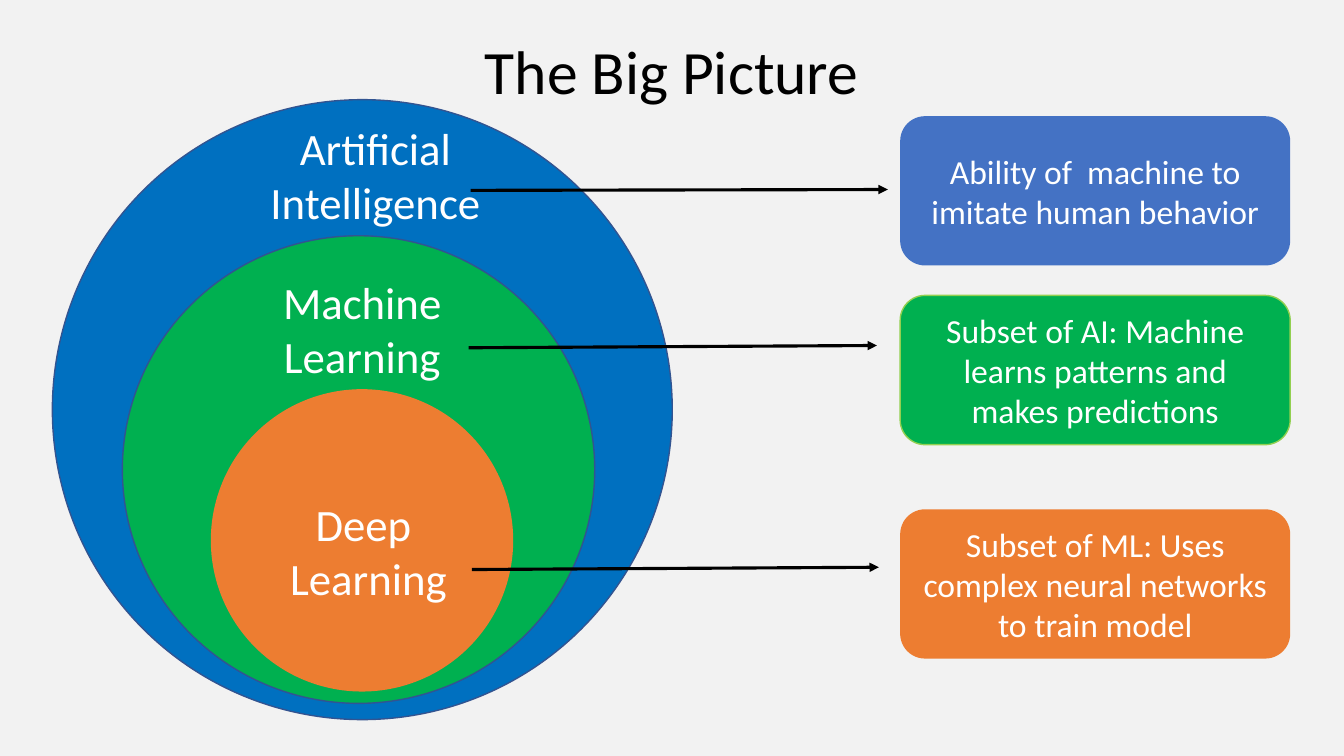
from dataclasses import dataclass

from lxml.etree import SubElement
from pptx import Presentation
from pptx.dml.color import RGBColor
from pptx.enum.shapes import MSO_CONNECTOR, MSO_SHAPE
from pptx.enum.text import MSO_ANCHOR, MSO_AUTO_SIZE, PP_ALIGN
from pptx.oxml.ns import qn
from pptx.util import Pt


@dataclass(frozen=True)
class Theme:
    font: str = "Calibri"
    title_size: int = 44
    label_size: int = 32
    note_size: int = 24
    background: str = "F2F2F2"
    black: str = "000000"
    white: str = "FFFFFF"
    blue: str = "0070C0"
    soft_blue: str = "4472C4"
    outline: str = "325491"
    green: str = "00B050"
    lime: str = "92D050"
    orange: str = "ED7D31"


theme = Theme()


def write(frame, lines, size, color):
    frame.word_wrap = True
    for i, line in enumerate(lines):
        paragraph = frame.add_paragraph() if i else frame.paragraphs[0]
        paragraph.alignment = PP_ALIGN.CENTER
        run = paragraph.add_run()
        run.text = line
        run.font.name = theme.font
        run.font.size = Pt(size)
        run.font.color.rgb = RGBColor.from_string(color)


def add_filled(kind, box, fill, outline):
    shape = slide.shapes.add_shape(kind, *map(Pt, box))
    shape.shadow.inherit = False
    shape.fill.solid()
    shape.fill.fore_color.rgb = RGBColor.from_string(fill)
    if outline:
        shape.line.color.rgb = RGBColor.from_string(outline)
        shape.line.width = Pt(1)
    else:
        shape.line.fill.background()
    return shape


deck = Presentation()
deck.slide_width, deck.slide_height = Pt(960), Pt(540)
slide = deck.slides.add_slide(deck.slide_layouts[5])
slide.background.fill.solid()
slide.background.fill.fore_color.rgb = RGBColor.from_string(theme.background)

title = slide.shapes.title
title.left, title.top, title.width, title.height = Pt(66), Pt(0.7), Pt(828), Pt(104.4)
title.text_frame.vertical_anchor = MSO_ANCHOR.MIDDLE
write(title.text_frame, ["The Big Picture"], theme.title_size, theme.black)
title.text_frame.paragraphs[0].line_spacing = 0.9

circles = [
    ((37.4, 71.2, 442.8, 442.8), theme.blue, theme.outline),
    ((87.4, 168.4, 337.4, 334), theme.green, theme.outline),
    ((150.6, 278, 216, 216), theme.orange, None),
]
for box, fill, outline in circles:
    add_filled(MSO_SHAPE.OVAL, box, fill, outline)

labels = [
    (111.6, 82.8, ["Artificial", "Intelligence"]),
    (102.2, 193, ["Machine", "Learning"]),
    (106.6, 351.4, ["Deep ", "Learning"]),
]
for left, top, lines in labels:
    label = slide.shapes.add_textbox(Pt(left), Pt(top), Pt(313.2), Pt(85))
    write(label.text_frame, lines, theme.label_size, theme.white)
    label.text_frame.auto_size = MSO_AUTO_SIZE.SHAPE_TO_FIT_TEXT

definitions = [
    (83, theme.soft_blue, None, "Ability of  machine to imitate human behavior"),
    (211, theme.green, theme.lime, "Subset of AI: Machine learns patterns and makes predictions"),
    (363.8, theme.orange, None, "Subset of ML: Uses complex neural networks to train model"),
]
for top, fill, outline, meaning in definitions:
    definition = add_filled(MSO_SHAPE.ROUNDED_RECTANGLE, (643, top, 278.6, 106.6), fill, outline)
    definition.text_frame.vertical_anchor = MSO_ANCHOR.MIDDLE
    write(definition.text_frame, [meaning], theme.note_size, theme.white)

arrows = [
    (336.2, 136, 634.2, 135.4),
    (334.8, 248.4, 626.4, 246.8),
    (337, 406.8, 627.8, 405.2),
]
for ends in arrows:
    arrow = slide.shapes.add_connector(MSO_CONNECTOR.STRAIGHT, *map(Pt, ends))
    arrow.line.color.rgb = RGBColor.from_string(theme.black)
    arrow.line.width = Pt(2.25)
    properties = arrow.element.spPr
    SubElement(properties.find(qn("a:ln")), qn("a:tailEnd"), type="triangle")
    SubElement(properties, qn("a:effectLst"))

deck.save("out.pptx")
